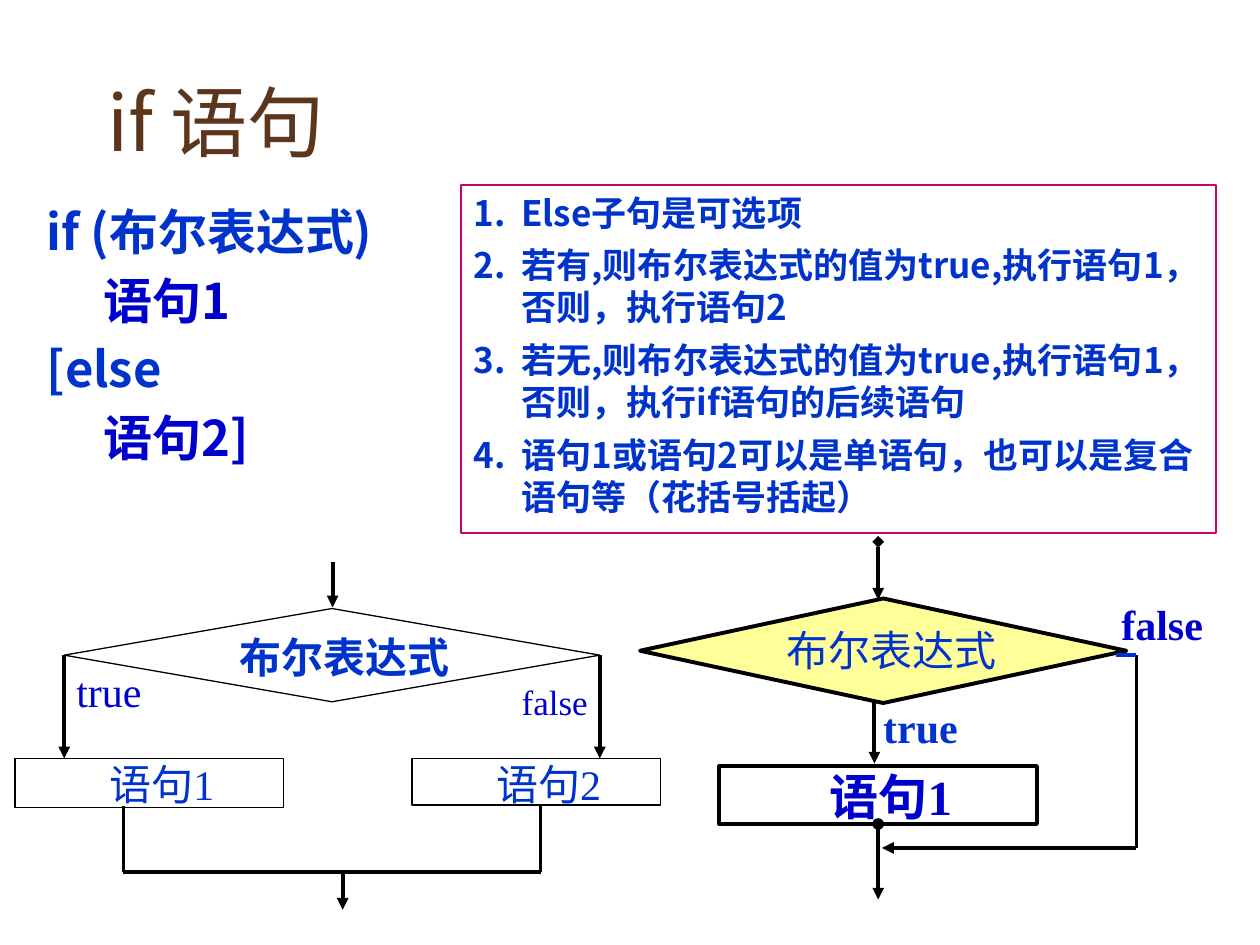
from dataclasses import dataclass

from lxml import etree
from pptx import Presentation
from pptx import util as u
from pptx.dml.color import RGBColor
from pptx.enum import shapes, text
from pptx.oxml import ns


@dataclass(frozen=True)
class Theme:
    sans: str = "Noto Sans CJK SC"
    serif: str = "Times New Roman"
    brown: str = "5B361D"
    blue: str = "0033CC"
    navy: str = "0000CC"
    black: str = "000000"
    pink: str = "CC0066"
    yellow: str = "FFFF99"
    title: int = 44
    code: int = 28
    label: int = 24
    small: int = 20
    thin: float = 0.75
    border: float = 1.5
    thick: float = 2.25


THEME = Theme()
ALIGN = text.PP_ALIGN
DECISION = shapes.MSO_SHAPE.FLOWCHART_DECISION
PROCESS = shapes.MSO_SHAPE.FLOWCHART_PROCESS


def inches(*values):
    return [u.Inches(value) for value in values]


def add_element(parent, tag, **attributes):
    return etree.SubElement(parent, ns.qn(tag), attributes)


def apply_format(target, values):
    for name, value in values.items():
        setattr(target, name, value)


def add_run(paragraph, words, size, color, font=THEME.serif, bold=False):
    run = paragraph.add_run()
    run.text = words
    apply_format(run.font, {"size": u.Pt(size), "bold": bold, "name": font})
    run.font.color.rgb = RGBColor.from_string(color)
    add_element(run.font._element, "a:ea", typeface=THEME.sans)


def set_indent(paragraph, left, first=0):
    properties = paragraph._p.get_or_add_pPr()
    properties.set("marL", str(u.Inches(left)))
    properties.set("indent", str(u.Inches(first)))
    return properties


def set_frame(shape, margins, anchor=text.MSO_ANCHOR.TOP):
    frame = shape.text_frame
    horizontal, vertical = inches(*margins)
    apply_format(frame, {
        "word_wrap": True, "auto_size": text.MSO_AUTO_SIZE.NONE,
        "vertical_anchor": anchor,
        "margin_left": horizontal, "margin_right": horizontal,
        "margin_top": vertical, "margin_bottom": vertical})
    return frame


def place(shape, box):
    apply_format(shape, dict(zip(("left", "top", "width", "height"), inches(*box))))


def add_shape(parent, kind, box, line_color, line_width, fill=None):
    shape = parent.shapes.add_shape(kind, *inches(*box))
    shape.shadow.inherit = False
    if fill:
        shape.fill.solid()
        shape.fill.fore_color.rgb = RGBColor.from_string(fill)
    else:
        shape.fill.background()
    shape.line.color.rgb = RGBColor.from_string(line_color)
    shape.line.width = u.Pt(line_width)
    return shape


def write_label(shape, words, alignment, indent=0.2, before=0, **style):
    paragraph = set_frame(shape, (0, 0)).paragraphs[0]
    set_indent(paragraph, indent)
    apply_format(paragraph, {"alignment": alignment, "space_before": u.Pt(before)})
    add_run(paragraph, words, **style)


def add_node(group, kind, box, words, width, fill=None, alignment=ALIGN.CENTER,
             size=THEME.label, color=THEME.blue, bold=False):
    shape = add_shape(group, kind, box, THEME.black, width, fill)
    write_label(shape, words, alignment, size=size, color=color, bold=bold)


def add_label(group, box, words, alignment=ALIGN.JUSTIFY, indent=0.2,
              size=THEME.label, color=THEME.navy, bold=False):
    shape = group.shapes.add_textbox(*inches(*box))
    write_label(shape, words, alignment, indent, size=size, color=color, bold=bold)


def add_line(group, start, end, head=None, tail=None, color=THEME.black):
    line = group.shapes.add_connector(
        shapes.MSO_CONNECTOR.STRAIGHT, *inches(*start, *end))
    line.line.color.rgb = RGBColor.from_string(color)
    line.line.width = u.Pt(THEME.thick)
    outline = line.line._get_or_add_ln()
    for tag, arrow in (("a:headEnd", head), ("a:tailEnd", tail)):
        if arrow:
            add_element(outline, tag, type=arrow)
    add_element(line._element.spPr, "a:effectLst")


def write_lines(frame, lines, size, spacing, numbered=False):
    for index, (words, color, left, first) in enumerate(lines):
        paragraph = frame.paragraphs[0] if index == 0 else frame.add_paragraph()
        properties = set_indent(paragraph, left, first)
        if numbered:
            add_element(properties, "a:buFont", typeface="+mj-lt")
            add_element(properties, "a:buAutoNum", type="arabicPeriod")
        else:
            add_element(properties, "a:buNone")
        apply_format(paragraph, {
            "alignment": ALIGN.LEFT, "line_spacing": u.Pt(size * 1.2),
            "space_before": u.Pt(size * spacing if index else 0)})
        add_run(paragraph, words, size, color, THEME.sans, True)


def add_title(slide):
    title = slide.shapes.title
    place(title, (0.75, 0.52, 8.5, 0.87))
    frame = set_frame(title, (0.1, 0.05), text.MSO_ANCHOR.MIDDLE)
    frame.paragraphs[0].alignment = ALIGN.LEFT
    add_run(frame.paragraphs[0], "if 语句", THEME.title, THEME.brown, THEME.sans)


def add_syntax(slide):
    body = slide.placeholders[1]
    place(body, (0.27, 1.55, 3.31, 2.44))
    lines = [("if (布尔表达式)", THEME.blue, 0.38, -0.38),
             ("语句1", THEME.navy, 0.45, 0),
             ("[else", THEME.blue, 0.38, -0.38),
             ("语句2]", THEME.navy, 0.45, 0)]
    write_lines(set_frame(body, (0.1, 0.05)), lines, THEME.code, 0.2)


def add_rules(slide):
    panel = add_shape(slide, shapes.MSO_SHAPE.RECTANGLE, (3.66, 1.47, 5.99, 2.76),
                      THEME.pink, THEME.border)
    rules = ["Else子句是可选项",
             "若有,则布尔表达式的值为true,执行语句1，否则，执行语句2",
             "若无,则布尔表达式的值为true,执行语句1，否则，执行if语句的后续语句",
             "语句1或语句2可以是单语句，也可以是复合语句等（花括号括起）"]
    lines = [(rule, THEME.blue, 0.38, -0.38) for rule in rules]
    write_lines(set_frame(panel, (0.1, 0.05)), lines, THEME.small, 0.3, numbered=True)


def add_if_else_flow(slide):
    group = slide.shapes.add_group_shape()
    add_line(group, (2.64, 4.46), (2.64, 4.82), tail="triangle")
    add_node(group, DECISION, (0.51, 4.83, 4.25, 0.74), "布尔表达式", THEME.thin, bold=True)
    add_node(group, PROCESS, (0.12, 6.02, 2.13, 0.39), "语句1", THEME.thin)
    add_node(group, PROCESS, (3.27, 6.02, 1.97, 0.37), "语句2", THEME.thin)
    for branch, exit_x in ((0.51, 0.98), (4.76, 4.29)):
        add_line(group, (branch, 5.2), (branch, 6.02), tail="triangle")
        add_line(group, (exit_x, 6.4), (exit_x, 6.92))
    add_line(group, (0.98, 6.92), (4.29, 6.92))
    add_line(group, (2.72, 6.92), (2.72, 7.22), tail="triangle")
    add_label(group, (0.2, 5.28, 0.94, 0.37), "true", ALIGN.CENTER, 0.39)
    add_label(group, (3.94, 5.4, 0.82, 0.25), "false", size=THEME.small)


def add_if_flow(slide):
    group = slide.shapes.add_group_shape()
    add_line(group, (6.97, 4.3), (6.97, 4.76), head="diamond", tail="triangle")
    add_node(group, DECISION, (5.08, 4.75, 3.86, 0.83), "布尔表达式", THEME.thick,
             THEME.yellow, ALIGN.LEFT)
    add_node(group, PROCESS, (5.71, 6.08, 2.52, 0.46), "语句1", THEME.thick,
             size=THEME.code, color=THEME.navy, bold=True)
    add_label(group, (6.81, 5.57, 0.81, 0.33), "true", color=THEME.blue, bold=True)
    add_label(group, (8.7, 4.75, 0.93, 0.36), "false", bold=True)
    add_line(group, (6.97, 6.54), (6.97, 7.14), head="oval", tail="triangle")
    add_line(group, (6.94, 5.56), (6.94, 6.06), tail="triangle")
    add_line(group, (9.02, 5.2), (9.02, 6.73))
    add_line(group, (9.02, 6.73), (7, 6.73), tail="triangle")
    add_line(group, (8.86, 5.2), (9.02, 5.2), color=THEME.blue)


def main():
    presentation = Presentation()
    presentation.slide_width, presentation.slide_height = inches(10, 7.5)
    slide = presentation.slides.add_slide(presentation.slide_layouts[1])
    for add_part in (add_title, add_syntax, add_if_else_flow, add_if_flow, add_rules):
        add_part(slide)
    presentation.save("out.pptx")


if __name__ == "__main__":
    main()
